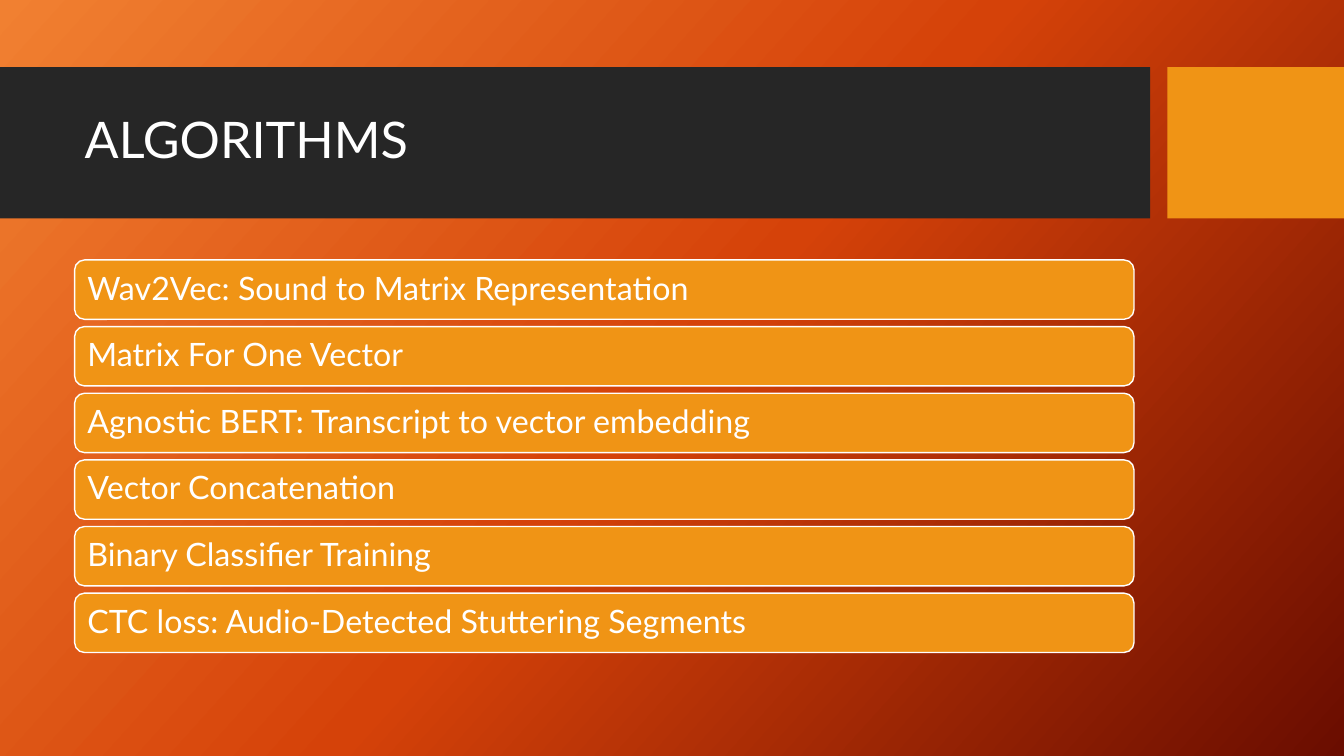
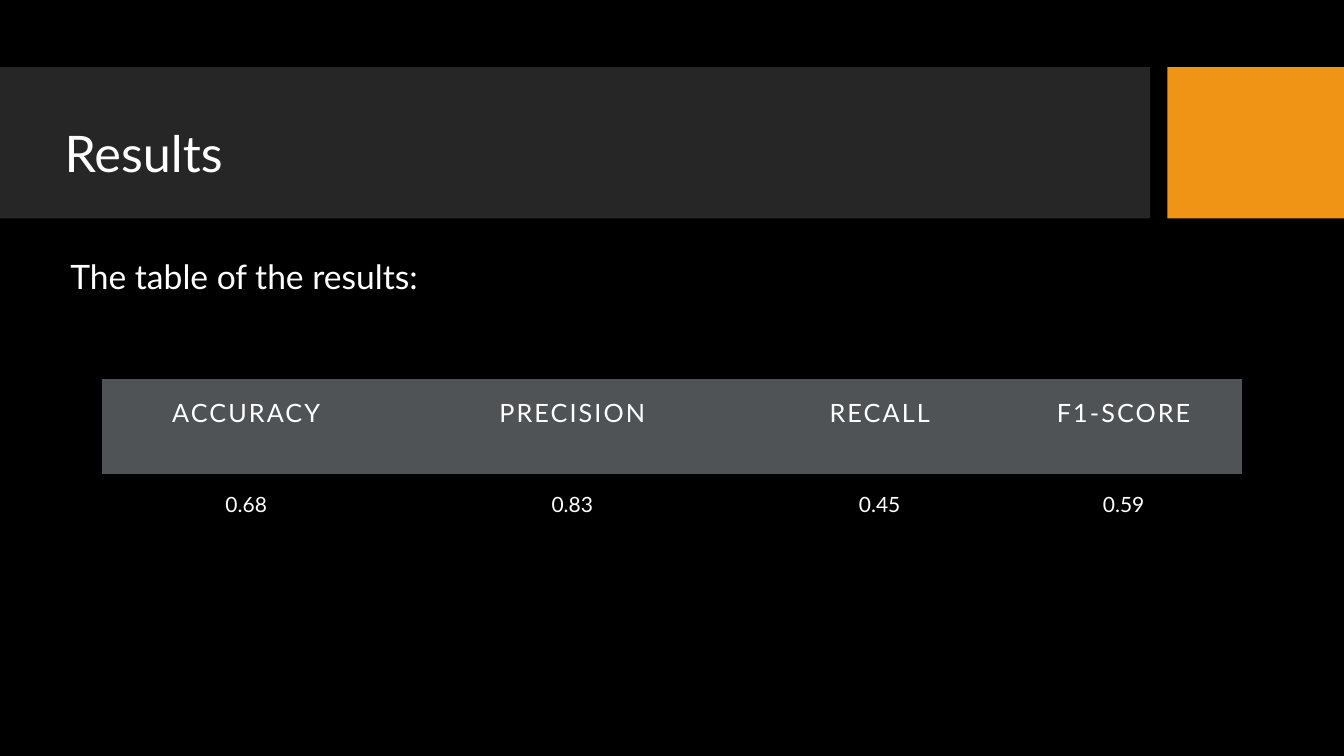
"""Build two slides: the list of algorithms and the table of results."""
from copy import deepcopy

from pptx import Presentation
from pptx import util as u
from pptx.dml import color
from pptx.enum import shapes, text
from pptx.oxml import ns

COLORS = {
    "white": "FFFFFF", "black": "000000", "band": "262626", "accent": "F09415",
    "header": "505356", "glow": "F18031", "ember": "D54209", "dark": "6A0D00",
}
FONT = "Lato"
LEFT, CENTER = text.PP_ALIGN.LEFT, text.PP_ALIGN.CENTER
TOP, MIDDLE, BOTTOM = text.MSO_ANCHOR.TOP, text.MSO_ANCHOR.MIDDLE, text.MSO_ANCHOR.BOTTOM
NO_GRID_STYLE = "{2D5ABB26-0587-4C30-8999-92F81FD0307C}"


def rgb(name):
    """Return the named colour."""
    return color.RGBColor.from_string(COLORS[name])


def write(frame, content, size, align=LEFT, line_spacing=None, tracking=0):
    """Put one formatted paragraph into a text frame."""
    paragraph = frame.paragraphs[0]
    paragraph.alignment = align
    paragraph.line_spacing = line_spacing
    run = paragraph.add_run()
    run.text = content
    run.font.name = FONT
    run.font.size = u.Pt(size)
    run.font.color.rgb = rgb("white")
    if tracking:
        run._r.get_or_add_rPr().set("spc", str(round(tracking * 100)))


presentation = Presentation()
presentation.slide_width = u.Pt(960)
presentation.slide_height = u.Pt(540)
layout = presentation.slide_layouts[5]

titles = [
    ("ALGORITHMS", (53.3, 59, 756.7, 85), MIDDLE),
    ("Results", (38.9, 41, 242.6, 93.6), BOTTOM),
]
slides = []
for content, box, anchor in titles:
    slide = presentation.slides.add_slide(layout)
    title = slide.shapes.title
    title.left, title.top, title.width, title.height = map(u.Pt, box)
    title.text_frame.auto_size = text.MSO_AUTO_SIZE.NONE
    title.text_frame.vertical_anchor = anchor
    write(title.text_frame, content, size=36, line_spacing=0.9)
    slides.append(slide)
algorithms_slide, results_slide = slides

bands = [(0, 821.5, "band"), (833.8, 126.2, "accent")]
for position, (left, width, fill) in enumerate(bands, start=2):
    band = algorithms_slide.shapes.add_shape(
        shapes.MSO_SHAPE.RECTANGLE, u.Pt(left), u.Pt(48), u.Pt(width), u.Pt(108))
    band.shadow.inherit = False
    band.fill.solid()
    band.fill.fore_color.rgb = rgb(fill)
    band.line.fill.background()
    layout.shapes.element.insert(position, band.element)

background = algorithms_slide.background.fill
background.gradient()
background.gradient_angle = 318
stop_list = algorithms_slide.element.find(".//" + ns.qn("a:gsLst"))
stop_list.append(deepcopy(stop_list[-1]))
for stop, position, name in zip(
        background.gradient_stops, (0, 0.5, 1), ("glow", "ember", "dark")):
    stop.position = position
    stop.color.rgb = rgb(name)

algorithms = [
    "Wav2Vec: Sound to Matrix Representation",
    "Matrix For One Vector",
    "Agnostic BERT: Transcript to vector embedding",
    "Vector Concatenation",
    "Binary Classifier Training",
    "CTC loss: Audio-Detected Stuttering Segments",
]
for index, algorithm in enumerate(algorithms):
    bar = algorithms_slide.shapes.add_shape(
        shapes.MSO_SHAPE.ROUNDED_RECTANGLE,
        u.Pt(53.3), u.Pt(185.7 + 47.6 * index), u.Pt(756.7), u.Pt(42.4))
    bar.shadow.inherit = False
    bar.fill.solid()
    bar.fill.fore_color.rgb = rgb("accent")
    bar.line.color.rgb = rgb("white")
    bar.line.width = u.Pt(1)
    bar.text_frame.vertical_anchor = MIDDLE
    write(bar.text_frame, algorithm, size=23, line_spacing=0.9)

results_slide.background.fill.solid()
results_slide.background.fill.fore_color.rgb = rgb("black")

intro = results_slide.shapes.add_textbox(u.Pt(38.9), u.Pt(182.2), u.Pt(309.6), u.Pt(50.4))
intro.text_frame.word_wrap = True
intro.text_frame.margin_left = u.Pt(11.4)
intro.text_frame.margin_right = 0
write(intro.text_frame, "The table of the results:", size=24, line_spacing=0.9)

results = [
    ["ACCURACY", "PRECISION", "RECALL", "F1-SCORE"],
    ["0.68", "0.83", "0.45", "0.59"],
]
column_widths = [206.6, 259.2, 180, 168.5]
row_heights = [67.7, 43.2]
table_frame = results_slide.shapes.add_table(
    len(results), len(column_widths), u.Pt(72.6), u.Pt(270.7),
    u.Pt(sum(column_widths)), u.Pt(sum(row_heights)))
table_frame.element.find(".//" + ns.qn("a:tableStyleId")).text = NO_GRID_STYLE
table = table_frame.table
table.horz_banding = False
for column, width in zip(table.columns, column_widths):
    column.width = u.Pt(width)
for row_index, (row, height) in enumerate(zip(table.rows, row_heights)):
    row.height = u.Pt(height)
    is_header = row_index == 0
    for cell, content in zip(row.cells, results[row_index]):
        cell.margin_left = cell.margin_right = u.Pt(13)
        cell.margin_top = cell.margin_bottom = u.Pt(13)
        cell.vertical_anchor = TOP
        if is_header:
            cell.fill.solid()
            cell.fill.fore_color.rgb = rgb("header")
        else:
            cell.fill.background()
        write(cell.text_frame, content, size=18 if is_header else 15,
              align=CENTER, tracking=1.5 if is_header else 0)

presentation.save("out.pptx")
